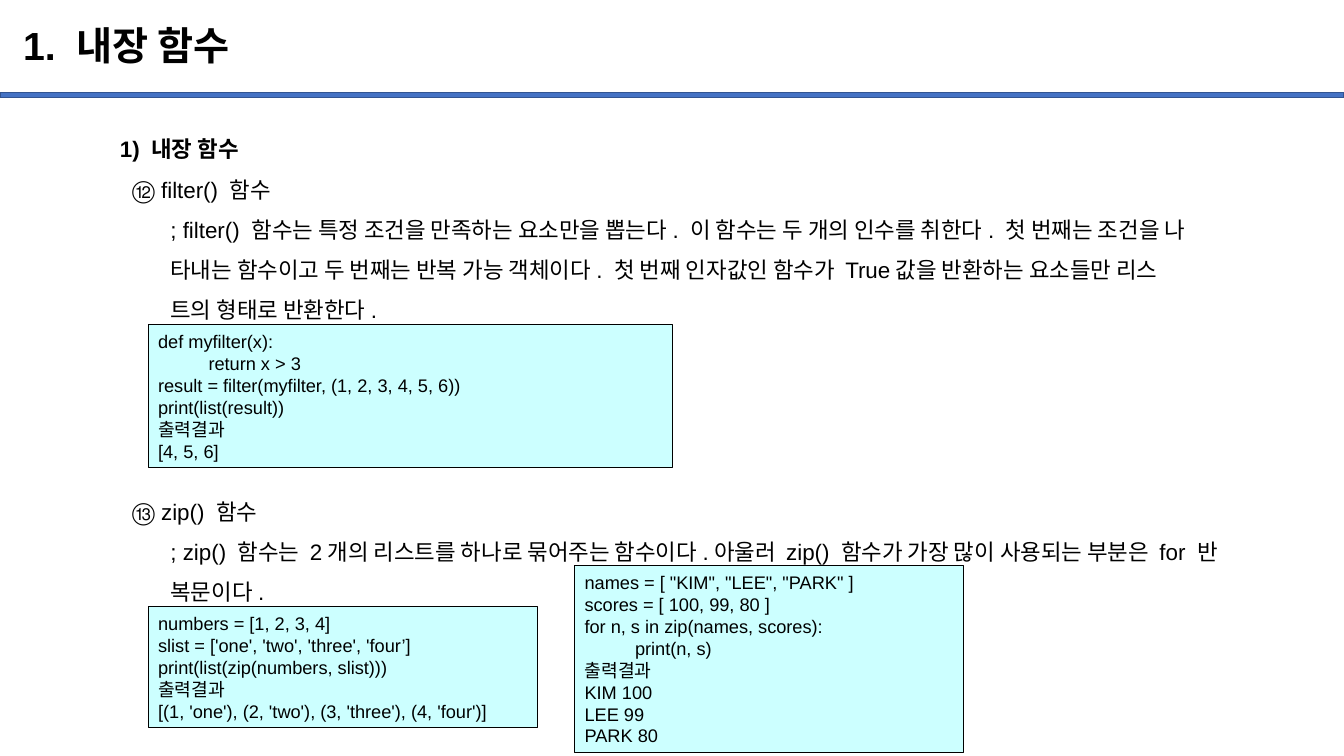
from lxml import etree
from pptx import Presentation
from pptx.dml.color import RGBColor
from pptx.enum import shapes, text
from pptx.oxml import ns
from pptx.util import Inches, Pt

# Content
TITLE = "1. 내장 함수"
# Body lines: (text, indent in inches, bold, space before in points)
BODY = [
    ("1) 내장 함수", 0, True, 0),
    ("⑫ filter() 함수", 0.12, False, 0),
    ("; filter() 함수는 특정 조건을 만족하는 요소만을 뽑는다. 이 함수는 두 개의 인수를 취한다. 첫 번째는 조건을 나", 0.5, False, 0),
    ("타내는 함수이고 두 번째는 반복 가능 객체이다. 첫 번째 인자값인 함수가 True값을 반환하는 요소들만 리스", 0.5, False, 0),
    ("트의 형태로 반환한다.", 0.5, False, 0),
    ("⑬ zip() 함수", 0.12, False, 115),
    ("; zip() 함수는 2개의 리스트를 하나로 묶어주는 함수이다.아울러 zip() 함수가 가장 많이 사용되는 부분은 for 반", 0.5, False, 0),
    ("복문이다.", 0.5, False, 0),
]
FILTER_CODE = [
    "def myfilter(x):",
    "\treturn x > 3",
    "result = filter(myfilter, (1, 2, 3, 4, 5, 6))",
    "print(list(result))",
    "출력결과",
    "[4, 5, 6]",
]
ZIP_CODE = [
    "numbers = [1, 2, 3, 4]",
    "slist = ['one', 'two', 'three', 'four’]",
    "print(list(zip(numbers, slist)))",
    "출력결과",
    "[(1, 'one'), (2, 'two'), (3, 'three'), (4, 'four')]",
]
LOOP_CODE = [
    'names = [ "KIM", "LEE", "PARK" ]',
    "scores = [ 100, 99, 80 ]",
    "for n, s in zip(names, scores):",
    "\tprint(n, s)",
    "출력결과",
    "KIM 100",
    "LEE 99",
    "PARK 80",
]
# Code boxes: (lines, left, top, width)
CODE_BOXES = [
    (FILTER_CODE, 1.47, 3.22, 5.2),
    (ZIP_CODE, 1.47, 6.02, 3.86),
    (LOOP_CODE, 5.7, 5.61, 3.86),
]

# Style
FONT = "Arial"
BLACK = RGBColor(0x00, 0x00, 0x00)
BLUE = RGBColor(0x44, 0x72, 0xC4)
DARK_BLUE = RGBColor(0x32, 0x54, 0x91)
PALE_CYAN = RGBColor(0xCC, 0xFF, 0xFF)
WIDTH, HEIGHT = 13.33, 7.5
CODE_LINE, CODE_PADDING, CODE_TAB = 0.22, 0.1, 0.5


def place(shape, left, top, width, height):
    shape.left, shape.top = Inches(left), Inches(top)
    shape.width, shape.height = Inches(width), Inches(height)


def write(paragraph, words, size, bold=False, indent=0, spacing=1.0, before=0):
    paragraph.alignment = text.PP_ALIGN.LEFT
    paragraph.line_spacing = spacing
    paragraph.space_before, paragraph.space_after = Pt(before), Pt(0)
    properties = paragraph._p.get_or_add_pPr()
    properties.set("marL", str(Inches(indent)))
    properties.set("indent", "0")
    etree.SubElement(properties, ns.qn("a:buNone"))
    run = paragraph.add_run()
    run.text = words
    run.font.name, run.font.size, run.font.bold = FONT, Pt(size), bold
    run.font.color.rgb = BLACK


def paragraphs(frame, count):
    return [frame.paragraphs[0]] + [frame.add_paragraph() for _ in range(count - 1)]


def add_box(slide, left, top, width, height, fill, line, weight):
    box = slide.shapes.add_shape(
        shapes.MSO_SHAPE.RECTANGLE,
        Inches(left), Inches(top), Inches(width), Inches(height))
    box.shadow.inherit = False
    box.fill.solid()
    box.fill.fore_color.rgb = fill
    box.line.color.rgb = line
    box.line.width = Pt(weight)
    return box


def add_code(slide, lines, left, top, width):
    height = CODE_LINE * len(lines) + CODE_PADDING
    box = add_box(slide, left, top, width, height, PALE_CYAN, BLACK, 0.75)
    frame = box.text_frame
    frame.word_wrap = True
    frame.vertical_anchor = text.MSO_ANCHOR.MIDDLE
    for paragraph, line in zip(paragraphs(frame, len(lines)), lines):
        write(paragraph, line.lstrip("\t"), 13, indent=CODE_TAB * line.count("\t"))


def main():
    presentation = Presentation()
    presentation.slide_width, presentation.slide_height = Inches(WIDTH), Inches(HEIGHT)
    slide = presentation.slides.add_slide(presentation.slide_layouts[1])
    title, body = slide.placeholders

    # Title and rule
    place(title, 0.13, 0.1, 11.5, 0.74)
    title.text_frame.auto_size = text.MSO_AUTO_SIZE.NONE
    title.text_frame.vertical_anchor = text.MSO_ANCHOR.MIDDLE
    write(title.text_frame.paragraphs[0], TITLE, 28, bold=True, spacing=0.9)
    add_box(slide, 0, 0.92, WIDTH, 0.05, BLUE, DARK_BLUE, 1)

    # Explanations
    place(body, 1.09, 1.16, 11.72, 5.3)
    body.text_frame.auto_size = text.MSO_AUTO_SIZE.NONE
    for paragraph, (words, indent, bold, before) in zip(
            paragraphs(body.text_frame, len(BODY)), BODY):
        write(paragraph, words, 16, bold, indent, 1.5, before)

    # Code examples
    for code_box in CODE_BOXES:
        add_code(slide, *code_box)

    presentation.save("out.pptx")


if __name__ == "__main__":
    main()
